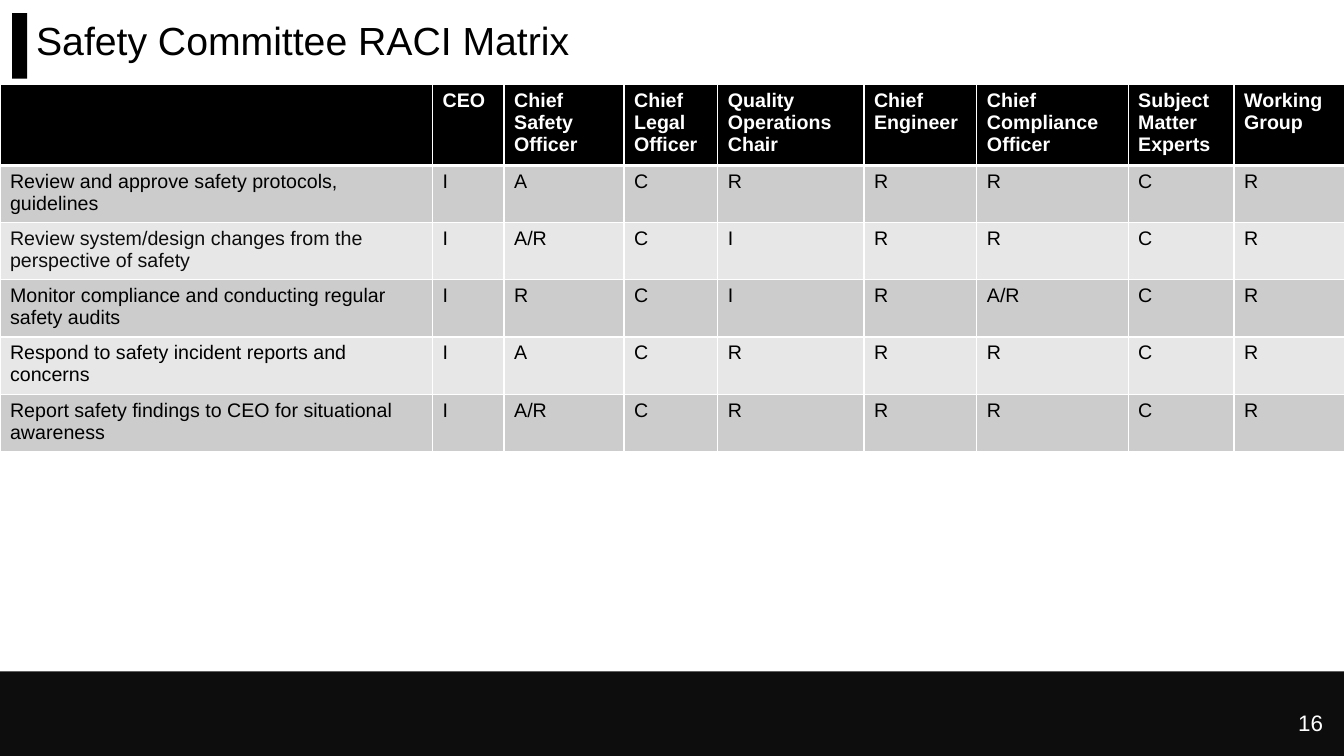
from dataclasses import dataclass

from lxml import etree
from pptx import Presentation
from pptx import util as u
from pptx.dml import color
from pptx.enum import shapes, text
from pptx.oxml import ns


@dataclass(frozen=True)
class Theme:
    font: str = "Arial"
    black: str = "000000"
    white: str = "FFFFFF"
    dark: str = "0D0D0D"
    bands: tuple = ("CCCCCC", "E7E7E7")
    title: int = 28
    page: int = 16
    body: int = 14


HEADS = ["", "CEO ", "Chief Safety Officer", "Chief Legal Officer",
         "Quality Operations Chair", "Chief Engineer",
         "Chief Compliance Officer", "Subject Matter Experts", "Working Group"]
TASKS = [
    ("Review and approve safety protocols, guidelines", "I A C R R R C R"),
    ("Review system/design changes from the perspective of safety", "I A/R C I R R C R"),
    ("Monitor compliance and conducting regular safety audits", "I R C I R A/R C R"),
    ("Respond to safety incident reports and concerns", "I A C R R R C R"),
    ("Report safety findings to CEO for situational awareness ", "I A/R C R R R C R"),
]
WIDTHS = [4.29, 0.71, 1.19, 0.93, 1.45, 1.12, 1.5, 1.05, 1.1]
HEIGHTS = [0.75] + [0.44] * len(TASKS)


class Deck:
    def __init__(self, theme):
        self.theme = theme
        self.prs = Presentation()
        self.prs.slide_width = u.Inches(13.33)
        self.prs.slide_height = u.Inches(7.5)
        self.slide = self.prs.slides.add_slide(self.prs.slide_layouts[6])

    def type(self, frame, words, size, ink, bold=False, **form):
        para = frame.paragraphs[0]
        for name, value in form.items():
            setattr(para, name, value)
        run = para.add_run()
        run.text = words
        style = {"name": self.theme.font, "size": u.Pt(size), "bold": bold}
        for name, value in style.items():
            setattr(run.font, name, value)
        run.font.color.rgb = color.RGBColor.from_string(ink)

    def bar(self, box, fill):
        bar = self.slide.shapes.add_shape(
            shapes.MSO_SHAPE.RECTANGLE, *map(u.Inches, box))
        bar.shadow.inherit = False
        bar.fill.solid()
        bar.fill.fore_color.rgb = color.RGBColor.from_string(fill)
        bar.line.fill.background()

    def label(self, box, words, size, ink, **form):
        frame = self.slide.shapes.add_textbox(*map(u.Inches, box)).text_frame
        style = {"word_wrap": True, "vertical_anchor": text.MSO_ANCHOR.MIDDLE}
        for name, value in style.items():
            setattr(frame, name, value)
        self.type(frame, words, size, ink, **form)

    def edge(self, cell, **sides):
        props = cell._tc.get_or_add_tcPr()
        for spot, (side, width) in enumerate(sides.items()):
            line = etree.Element(ns.qn(f"a:ln{side}"), w=str(u.Pt(width)))
            fill = etree.SubElement(line, ns.qn("a:solidFill"))
            etree.SubElement(fill, ns.qn("a:srgbClr"), val=self.theme.white)
            props.insert(spot, line)

    def cell(self, cell, words, fill, ink, bold, top, base):
        cell.fill.solid()
        cell.fill.fore_color.rgb = color.RGBColor.from_string(fill)
        self.edge(cell, L=1, R=1, T=top, B=base)
        self.type(cell.text_frame, words, self.theme.body, ink, bold)

    def table(self, spot, heads, tasks, widths, heights):
        look = self.theme
        size = (sum(widths), sum(heights))
        grid = self.slide.shapes.add_table(
            len(heights), len(widths), *map(u.Inches, spot + size)).table
        for col, width in zip(grid.columns, widths):
            col.width = u.Inches(width)
        for row, height in zip(grid.rows, heights):
            row.height = u.Inches(height)
        for col, head in enumerate(heads):
            self.cell(grid.cell(0, col), head, look.black, look.white, True, 1, 3)
        for row, (task, roles) in enumerate(tasks, 1):
            fill = look.bands[(row - 1) % 2]
            top = 3 if row == 1 else 1
            for col, words in enumerate([task] + roles.split()):
                ink = look.dark if (row, col) == (2, 0) else look.black
                self.cell(grid.cell(row, col), words, fill, ink, False, top, 1)


def main():
    look = Theme()
    deck = Deck(look)
    deck.bar((0.12, 0.13, 0.15, 0.65), look.black)
    deck.bar((0, 6.66, 13.33, 0.84), look.dark)
    deck.label((10.22, 6.97, 3, 0.4), "16", look.page, look.white,
               alignment=text.PP_ALIGN.RIGHT)
    deck.table((0, 0.84), HEADS, TASKS, WIDTHS, HEIGHTS)
    deck.label((0.26, 0, 12.98, 0.84), "Safety Committee RACI Matrix",
               look.title, look.black, line_spacing=0.9)
    deck.prs.save("out.pptx")


if __name__ == "__main__":
    main()
